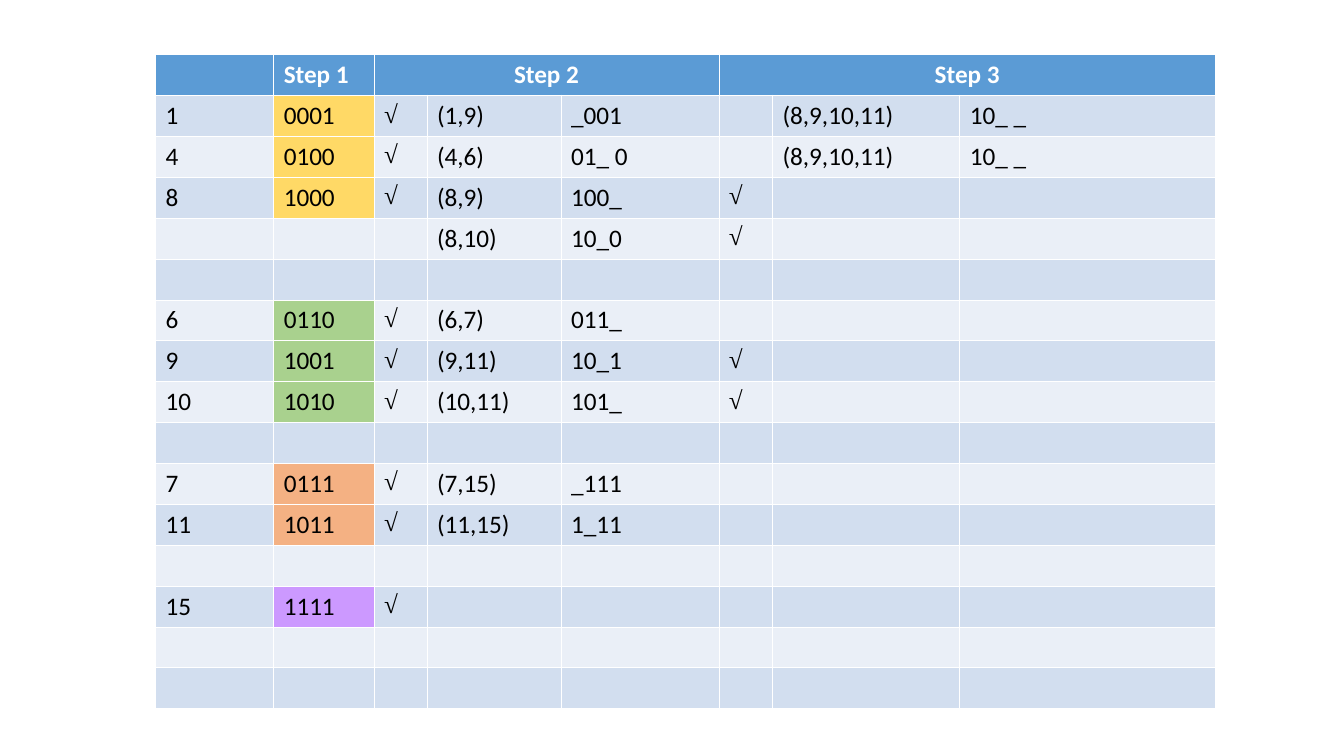
"""Build a slide with a three-step table of minterms and their merged terms."""
from lxml.etree import SubElement
from pptx import Presentation
from pptx.dml.color import RGBColor
from pptx.enum.text import PP_ALIGN
from pptx.oxml.ns import qn
from pptx.util import Pt

TICK = "√"
HEAD = ["", "Step 1", "Step 2", "", "", "Step 3", "", ""]
BODY = [
    ["1", "0001", TICK, "(1,9)", "_001", "", "(8,9,10,11)", "10_ _"],
    ["4", "0100", TICK, "(4,6)", "01_ 0", "", "(8,9,10,11)", "10_ _"],
    ["8", "1000", TICK, "(8,9)", "100_", TICK],
    ["", "", "", "(8,10)", "10_0", TICK],
    [],
    ["6", "0110", TICK, "(6,7)", "011_"],
    ["9", "1001", TICK, "(9,11)", "10_1", TICK],
    ["10", "1010", TICK, "(10,11)", "101_", TICK],
    [],
    ["7", "0111", TICK, "(7,15)", "_111"],
    ["11", "1011", TICK, "(11,15)", "1_11"],
    [],
    ["15", "1111", TICK],
    [],
    [],
]
WIDTHS = [84.4, 71.8, 37.8, 95.8, 112.8, 38.4, 133.8, 182.8]
STEPS = [2, 5]
LEFT, TOP, HIGH = 111.2, 39, 29.2
BLUE, WHITE, BLACK = "5B9BD5", "FFFFFF", "000000"
BANDS = ["EAEFF7", "D2DEEF"]
ONES = {1: "FFD966", 2: "A9D18E", 3: "F4B183", 4: "CC99FF"}
THIN, THICK = 0.45, 1.47


def color(code):
    """Turn a hex string into a colour."""
    return RGBColor.from_string(code)


def shade(row, col, text):
    """Choose a cell fill; Step 1 is tinted by its count of ones."""
    if row == 0:
        return BLUE
    if col == 1 and text:
        return ONES[text.count("1")]
    return BANDS[row % 2]


def edge(cell, row):
    """Draw white borders, heavier under the header."""
    props = cell._tc.get_or_add_tcPr()
    sizes = {"a:lnL": THIN, "a:lnR": THIN,
             "a:lnT": THICK if row == 1 else THIN,
             "a:lnB": THICK if row == 0 else THIN}
    for spot, (tag, size) in enumerate(sizes.items()):
        line = SubElement(props, qn(tag), w=str(Pt(size)))
        fill = SubElement(line, qn("a:solidFill"))
        SubElement(fill, qn("a:srgbClr"), val=WHITE)
        props.insert(spot, line)


def write(cell, text, row, col):
    """Add the cell text as one run."""
    para = cell.text_frame.paragraphs[0]
    if row == 0 and col in STEPS:
        para.alignment = PP_ALIGN.CENTER
    run = para.add_run()
    run.text = text
    font = run.font
    font.name = "Times New Roman" if text == TICK else "Calibri"
    font.size = Pt(18)
    font.bold = row == 0
    font.color.rgb = color(WHITE if row == 0 else BLACK)


def main():
    """Lay out the table and save the deck."""
    deck = Presentation()
    deck.slide_width, deck.slide_height = Pt(960.5), Pt(540)
    slide = deck.slides.add_slide(deck.slide_layouts[6])
    rows = [HEAD] + BODY
    frame = slide.shapes.add_table(
        len(rows), len(WIDTHS), Pt(LEFT), Pt(TOP),
        Pt(sum(WIDTHS)), Pt(HIGH * len(rows)))
    table = frame.table
    for col, width in enumerate(WIDTHS):
        table.columns[col].width = Pt(width)
    for row, texts in enumerate(rows):
        table.rows[row].height = Pt(HIGH)
        for col in range(len(WIDTHS)):
            text = texts[col] if col < len(texts) else ""
            cell = table.cell(row, col)
            cell.fill.solid()
            cell.fill.fore_color.rgb = color(shade(row, col, text))
            edge(cell, row)
            if text:
                write(cell, text, row, col)
    for col in STEPS:
        table.cell(0, col).merge(table.cell(0, col + 2))
    deck.save("out.pptx")


if __name__ == "__main__":
    main()
